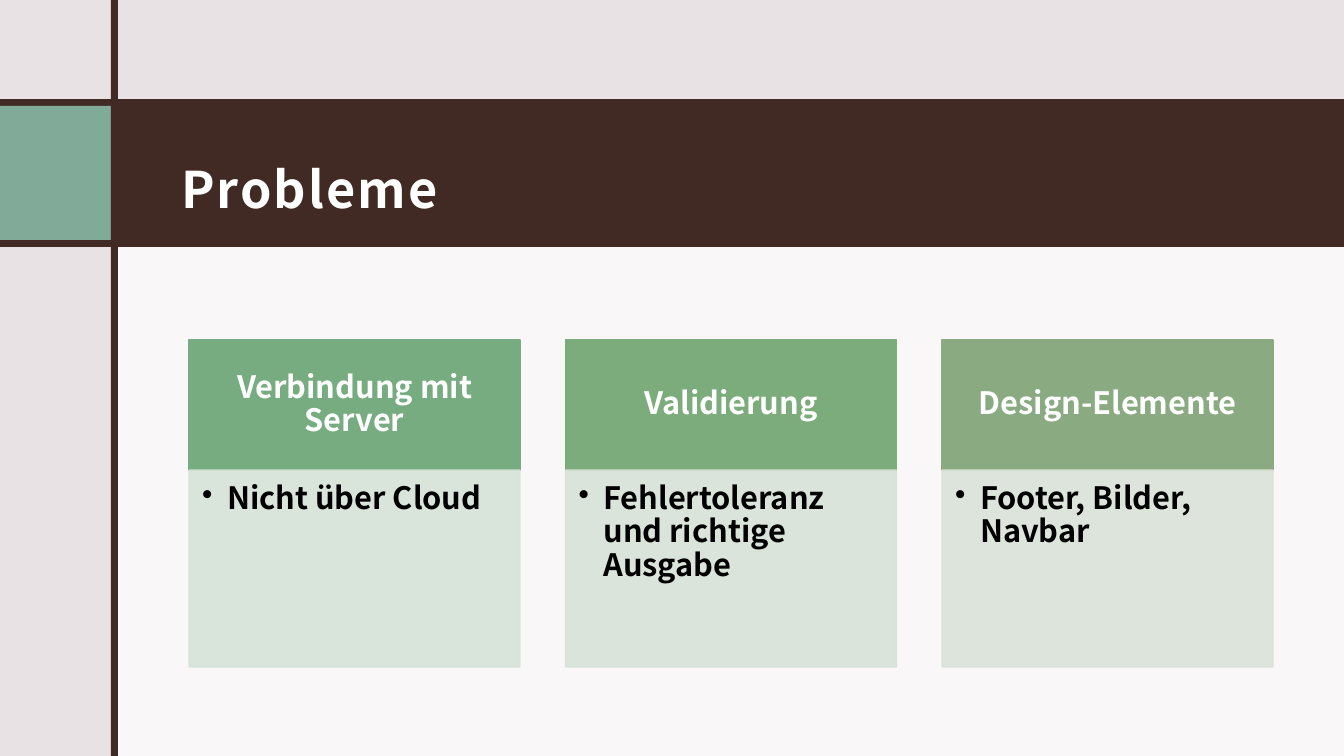
import pptx
import pptx.dml.color
import pptx.enum.shapes
import pptx.enum.text
import pptx.oxml.ns
import pptx.util
from lxml import etree

PX = 914400 / 100.8
WIDTH, HEIGHT = 1344, 756
FONT = "Noto Sans CJK JP"
BROWN, TEAL, BACKDROP, WHITE, BLACK = "412A24", "81AA99", "E8E2E4", "FFFFFF", "000000"
CENTER = pptx.enum.text.PP_ALIGN.CENTER
LEFT = pptx.enum.text.PP_ALIGN.LEFT
MIDDLE = pptx.enum.text.MSO_ANCHOR.MIDDLE
TOP = pptx.enum.text.MSO_ANCHOR.TOP

# Header text, header colour, body text, body colour
CARDS = [
    ("Verbindung mit Server", "76AC80", "Nicht über Cloud", "D6E3D8"),
    ("Validierung", "7CAB7C", "Fehlertoleranz und richtige Ausgabe", "D7E2D7"),
    ("Design-Elemente", "8AAA81", "Footer, Bilder, Navbar", "DAE2D8"),
]


def px(n):
    return pptx.util.Emu(round(n * PX))


def rgb(color):
    return pptx.dml.color.RGBColor.from_string(color)


def add_child(parent, tag, **attrs):
    child = etree.SubElement(parent, pptx.oxml.ns.qn(tag))
    for name, value in attrs.items():
        child.set(name, str(value))
    return child


def add_rect(slide, box, color, opacity=100, outlined=False):
    sp = slide.shapes.add_shape(pptx.enum.shapes.MSO_SHAPE.RECTANGLE, *map(px, box))
    sp.shadow.inherit = False
    sp.fill.solid()
    sp.fill.fore_color.rgb = rgb(color)
    if outlined:
        sp.line.color.rgb = rgb(color)
        sp.line.width = pptx.util.Pt(1)
    else:
        sp.line.fill.background()
    if opacity < 100:
        for clr in sp._element.spPr.iter(pptx.oxml.ns.qn("a:srgbClr")):
            add_child(clr, "a:alpha", val=opacity * 1000)
    return sp


def set_text(sp, text, size, color, insets, align=LEFT, anchor=MIDDLE,
             line_spacing=0.9, tracking=0, bullet_indent=0):
    tf = sp.text_frame
    tf.word_wrap = True
    tf.vertical_anchor = anchor
    tf.margin_left, tf.margin_top, tf.margin_right, tf.margin_bottom = map(px, insets)
    p = tf.paragraphs[0]
    p.alignment = align
    p.line_spacing = line_spacing
    r = p.add_run()
    r.text = text
    r.font.name = FONT
    r.font.size = pptx.util.Pt(size)
    r.font.bold = True
    r.font.color.rgb = rgb(color)
    add_child(r.font._element, "a:ea", typeface=FONT)
    if tracking:
        r.font._element.set("spc", str(round(tracking * 100)))
    if bullet_indent:
        pPr = p._p.get_or_add_pPr()
        pPr.set("marL", str(px(bullet_indent)))
        pPr.set("indent", str(px(-bullet_indent)))
        add_child(pPr, "a:buChar", char="•")


def add_frame(slide, box):
    """Backdrop, content panel, title band and vertical bar."""
    x, y, w, h = box
    slide.background.fill.solid()
    slide.background.fill.fore_color.rgb = rgb(BACKDROP)
    add_rect(slide, (x + 115, y + 235, w - 115, h - 235), WHITE, opacity=75)
    add_title_band(slide, (x, y + 99, w, 148), "Probleme")
    add_rect(slide, (x + 111, y, 7, h), BROWN)


def add_title_band(slide, box, title):
    x, y, w, h = box
    add_rect(slide, box, BROWN)
    add_rect(slide, (x, y + 7, 111, h - 14), TEAL)
    tb = slide.shapes.add_textbox(*map(px, (x + 169, y + 16, w - 240, h - 34)))
    set_text(tb, title, 36, WHITE, (12, 12, 12, 10), line_spacing=1.5, tracking=1.5)


def add_card(slide, box, header, header_color, body, body_color):
    x, y, w, h = box
    header_h = 130
    head = add_rect(slide, (x, y, w, header_h), header_color, outlined=True)
    set_text(head, header, 22, WHITE, (17, 10, 17, 10), align=CENTER)
    base = add_rect(slide, (x, y + header_h, w, h - header_h), body_color,
                    opacity=90, outlined=True)
    set_text(base, body, 22, BLACK, (13, 13, 17, 19), anchor=TOP, bullet_indent=25)


def add_card_row(slide, box, cards):
    x, y, w, h = box
    card_w = 331
    step = (w - card_w) / (len(cards) - 1)
    for i, card in enumerate(cards):
        add_card(slide, (x + i * step, y, card_w, h), *card)


def main():
    prs = pptx.Presentation()
    prs.slide_width, prs.slide_height = px(WIDTH), px(HEIGHT)
    slide = prs.slides.add_slide(prs.slide_layouts[6])
    add_frame(slide, (0, 0, WIDTH, HEIGHT))
    add_card_row(slide, (189, 340, 1084, 327), CARDS)
    prs.save("out.pptx")


if __name__ == "__main__":
    main()
